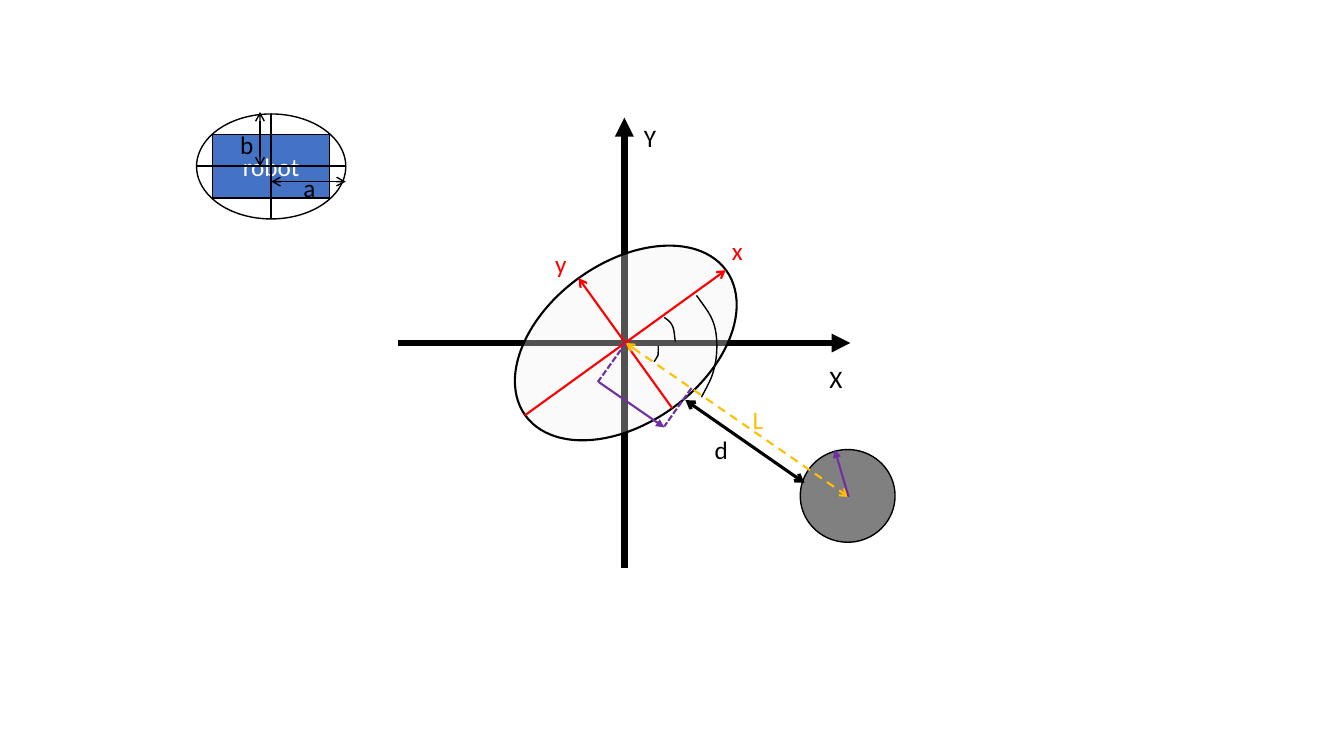
import lxml.etree
import pptx
import pptx.dml.color
import pptx.enum.dml
import pptx.enum.shapes
import pptx.enum.text
import pptx.oxml.ns
import pptx.util

Pt = pptx.util.Pt
RGBColor = pptx.dml.color.RGBColor
SHAPE = pptx.enum.shapes.MSO_SHAPE
DASH = pptx.enum.dml.MSO_LINE
BLACK = RGBColor(0x00, 0x00, 0x00)
WHITE = RGBColor(0xFF, 0xFF, 0xFF)
PALE = RGBColor(0xF2, 0xF2, 0xF2)
GREY = RGBColor(0x80, 0x80, 0x80)
RED = RGBColor(0xFF, 0x00, 0x00)
GOLD = RGBColor(0xFF, 0xC0, 0x00)
PURPLE = RGBColor(0x70, 0x30, 0xA0)
BLUE = RGBColor(0x44, 0x72, 0xC4)


def apply_format(target, formats):
    """Set each named attribute on the target."""
    for name, value in formats.items():
        setattr(target, name, value)


def add_element(parent, tag, **attributes):
    """Append a DrawingML element to the parent."""
    return lxml.etree.SubElement(parent, pptx.oxml.ns.qn(tag), attributes)


def write_text(shape, text, color):
    """Write one formatted run in the shape and return its paragraph."""
    para = shape.text_frame.paragraphs[0]
    span = para.add_run()
    span.text = text
    apply_format(span.font, {"name": "Calibri", "size": Pt(18)})
    span.font.color.rgb = color
    return para


def add_label(group, origin, place, text, color=BLACK):
    """Add a letter in a box given as left, top and width from the origin."""
    left, top, width = place
    box = group.shapes.add_textbox(
        Pt(origin[0] + left), Pt(origin[1] + top), Pt(width), Pt(28.8))
    apply_format(box.text_frame, {
        "word_wrap": True,
        "auto_size": pptx.enum.text.MSO_AUTO_SIZE.SHAPE_TO_FIT_TEXT})
    write_text(box, text, color)


def add_line(group, origin, start, end, color=BLACK, width=1.5, dash=None,
             head=None, tail=None):
    """Add a line between two points measured from the origin."""
    x, y = origin
    line = group.shapes.add_connector(
        pptx.enum.shapes.MSO_CONNECTOR.STRAIGHT,
        Pt(x + start[0]), Pt(y + start[1]), Pt(x + end[0]), Pt(y + end[1]))
    line.line.color.rgb = color
    apply_format(line.line, {"width": Pt(width), "dash_style": dash})
    outline = line.element.spPr.find(pptx.oxml.ns.qn("a:ln"))
    for tag, kind in (("a:headEnd", head), ("a:tailEnd", tail)):
        if kind:
            add_element(outline, tag, type=kind)
    add_element(line.element.spPr, "a:effectLst")


def finish_shape(shape, fill=None, width=1):
    """Give a shape a black outline, a fill or none, and no shadow."""
    shape.shadow.inherit = False
    shape.line.color.rgb = BLACK
    shape.line.width = Pt(width)
    if fill is None:
        shape.fill.background()
    else:
        shape.fill.solid()
        shape.fill.fore_color.rgb = fill


def add_centred(group, kind, centre, size, fill=None, width=1):
    """Add a preset shape around its centre."""
    shape = group.shapes.add_shape(
        kind, Pt(centre[0] - size[0] / 2), Pt(centre[1] - size[1] / 2),
        Pt(size[0]), Pt(size[1]))
    finish_shape(shape, fill, width)
    return shape


def bezier(points, t):
    """Return the point at t on a cubic curve."""
    weights = ((1 - t) ** 3, 3 * t * (1 - t) ** 2, 3 * t * t * (1 - t), t ** 3)
    return [sum(w * p[i] for w, p in zip(weights, points)) for i in (0, 1)]


def add_arc(group, origin, points, steps=10):
    """Draw an open chain of cubic curves from the origin."""
    curve = [bezier(points[first:first + 4], step / steps)
             for first in range(0, len(points) - 1, 3)
             for step in range(1, steps + 1)]
    placed = [(Pt(origin[0] + x), Pt(origin[1] + y))
              for x, y in [points[0], *curve]]
    builder = group.shapes.build_freeform(*placed[0])
    builder.add_line_segments(placed[1:], close=False)
    finish_shape(builder.convert_to_shape())


def draw_axes(page, left, top, width, height):
    """Draw the coordinate axes, turned ellipse and obstacle in the box."""
    group = page.shapes.add_group_shape()
    origin = (left + width / 2, top + height / 2)
    for start, end in (((-width / 2, 0), (width / 2, 0)),
                       ((0, height / 2), (0, -height / 2))):
        add_line(group, origin, start, end, width=4.5, tail="triangle")

    hull = add_centred(group, SHAPE.OVAL, (origin[0] + 1, origin[1]),
                       (177, 114.5), PALE, 1.5)
    hull.rotation = 324.2
    shade = hull.element.spPr.find(".//" + pptx.oxml.ns.qn("a:srgbClr"))
    add_element(shade, "a:alpha", val="34000")
    for start, end in (((-71, 51.6), (72.4, -52)), ((34.2, 46.6), (-32.7, -46.3))):
        add_line(group, origin, start, end, RED, tail="arrow")

    for arc in (
        [(28.5, -18.2), (30.6, -16.8), (32.8, -15.3), (34.2, -12.4),
         (35.7, -9.6), (35.7, -5.2), (36.4, -0.9)],
        [(24.2, 2), (24.2, 3.4), (24.2, 4.8), (24.2, 6.3), (24.2, 7.7),
         (24.2, 9.2), (23.4, 9.9), (22.7, 11.3), (22, 12), (21.3, 13.5)],
        [(51.5, -34), (56.6, -26.8), (62.3, -20.4), (64.5, -11.7), (66.6, -3.8),
         (66.6, 8.4), (64.5, 16.4), (63, 25), (58.7, 31.5), (55.1, 38.7)],
    ):
        add_arc(group, origin, arc)

    centre, obstacle = (1, 0), (160.2, 110)
    add_centred(group, SHAPE.OVAL, (origin[0] + 159.5, origin[1] + 109.2),
                (67.7, 66.2), GREY)
    add_line(group, origin, centre, obstacle, GOLD, dash=DASH.DASH,
             head="arrow", tail="arrow")
    add_line(group, origin, (128.6, 99.9), (43.6, 40.8), width=2.25,
             head="arrow", tail="arrow")
    for start, end in (((-18.3, 27.9), (28.5, 60.3)), (obstacle, (150.2, 76.1))):
        add_line(group, origin, start, end, PURPLE, tail="triangle")
    for start, end in ((centre, (-19, 27.9)), ((47.9, 32.2), (28.5, 59.6))):
        add_line(group, origin, start, end, PURPLE, dash=DASH.SQUARE_DOT)

    for text, place, color in (
        ("X", (139.4, 11.3, 21.6), BLACK), ("Y", (6.9, -160.8, 20.2), BLACK),
        ("x", (72.4, -80.1, 11.5), RED), ("y", (-56.5, -70.8, 15.8), RED),
        ("d", (57.3, 61.7, 27.4), BLACK), ("L", (84.6, 40.1, 16.6), GOLD),
    ):
        add_label(group, origin, place, text, color)


def draw_robot(page, left, top, width, height):
    """Draw the robot and its bounding ellipse in the box."""
    group = page.shapes.add_group_shape()
    centre = (left + width / 2, top + height / 2)
    add_centred(group, SHAPE.OVAL, centre, (width, height))
    body = add_centred(group, SHAPE.RECTANGLE, centre, (83.5, 45.4), BLUE)
    body.text_frame.vertical_anchor = pptx.enum.text.MSO_ANCHOR.MIDDLE
    para = write_text(body, "robot", WHITE)
    para.alignment = pptx.enum.text.PP_ALIGN.CENTER

    for x, y in ((width / 2, 0), (0, height / 2)):
        add_line(group, centre, (-x, -y), (x, y))
    for start, end in (((0, 10.8), (width / 2, 10.8)),
                       ((-8, -height / 2 - 1.4), (-8, 0))):
        add_line(group, centre, start, end, width=1, head="arrow", tail="arrow")
    add_label(group, centre, (18, 0.7, 12.2), "a")
    add_label(group, centre, (-24.5, -30.2, 9.4), "b")


def main():
    """Build the slide and save the deck."""
    deck = pptx.Presentation()
    apply_format(deck, {"slide_width": Pt(960), "slide_height": Pt(540)})
    page = deck.slides.add_slide(deck.slide_layouts[6])
    draw_axes(page, 284.5, 84, 323, 322)
    draw_robot(page, 140.4, 81.4, 106.6, 75)
    deck.save("out.pptx")


if __name__ == "__main__":
    main()
